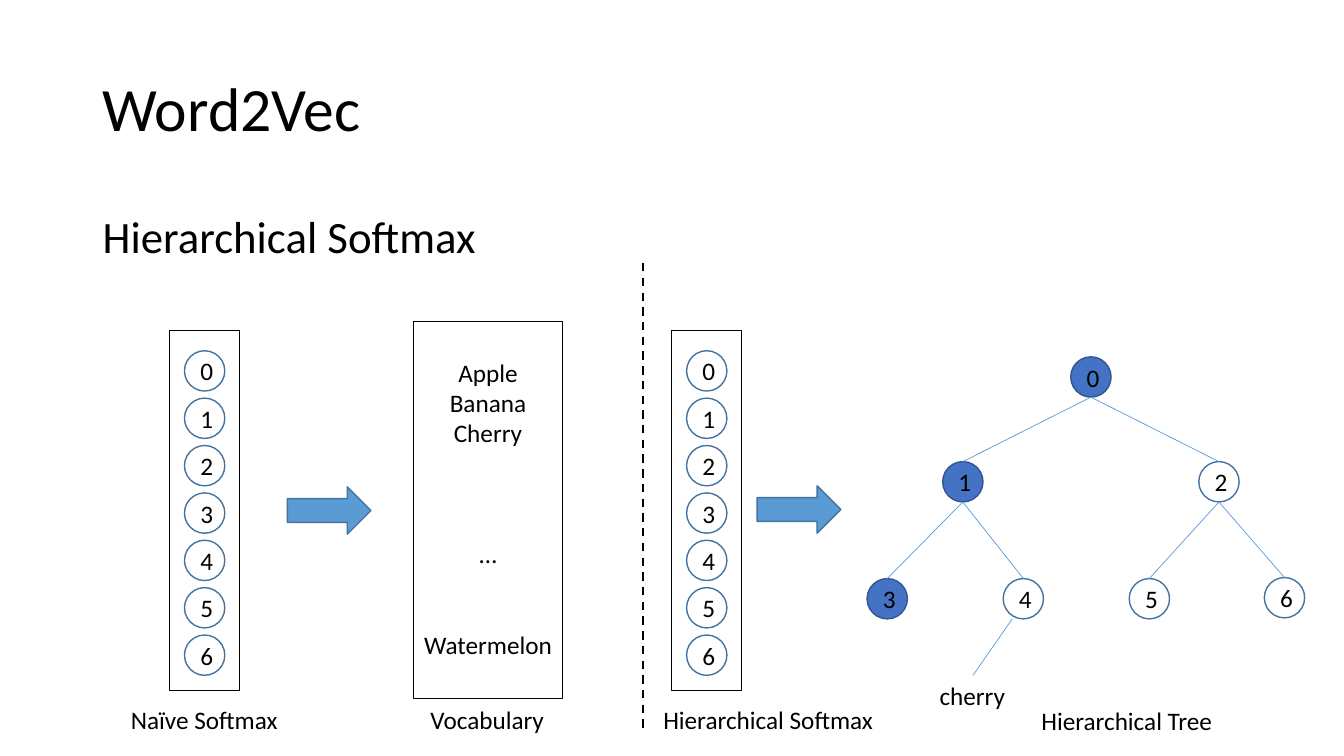
from lxml.etree import SubElement
from pptx import Presentation
from pptx.dml.color import RGBColor
from pptx.enum.dml import MSO_LINE
from pptx.enum.shapes import MSO_CONNECTOR, MSO_SHAPE
from pptx.enum.text import MSO_ANCHOR, PP_ALIGN
from pptx.oxml.ns import qn
from pptx.util import Inches, Pt

BLACK = RGBColor(0x00, 0x00, 0x00)
SKY = RGBColor(0x5B, 0x9B, 0xD5)
SKY_EDGE = RGBColor(0x43, 0x73, 0x9E)
BLUE = RGBColor(0x44, 0x72, 0xC4)
BLUE_EDGE = RGBColor(0x32, 0x54, 0x91)
FONT = "Calibri"

# Content: text, left, top, width, height
TITLE = ("Word2Vec", 0.92, 0.33, 11.5, 1.45)
SUBTITLE = ("Hierarchical Softmax", 0.92, 2.02, 11.5, 4.76)
CAPTIONS = [
    ("Naïve Softmax", 1.2, 6.94, 1.68, 0.4),
    ("Vocabulary", 4.17, 6.94, 1.34, 0.4),
    ("Hierarchical Softmax", 6.48, 6.94, 2.31, 0.4),
    ("Hierarchical Tree", 10.23, 6.95, 1.91, 0.4),
    ("cherry", 9.22, 6.7, 0.86, 0.4),
]
# Word and the space before it in points
VOCABULARY = [("Apple", 0), ("Banana", 0), ("Cherry", 0), ("…", 65), ("Watermelon", 43)]
VOCABULARY_BOX = (4.1, 3.19, 1.48, 3.74)
LAYER_LEFTS = [1.68, 6.66]
LAYER_SIZE = 7
ARROWS = [(2.85, 4.83), (7.51, 4.82)]
# Tree nodes in level order: left, top
TREE = [(10.62, 3.54), (9.35, 4.58), (11.89, 4.58),
        (8.6, 5.74), (9.95, 5.74), (11.2, 5.74), (12.54, 5.73)]
ACTIVE = {0, 1, 3}
NODE = 0.4
NODE_STEP = 0.47

prs = Presentation()
prs.slide_width, prs.slide_height = Inches(13.33), Inches(7.5)
s = prs.slides.add_slide(prs.slide_layouts[6])


def write(tf, text, size=18, align=PP_ALIGN.LEFT, before=0, first=True):
    p = tf.paragraphs[0] if first else tf.add_paragraph()
    p.alignment = align
    if before:
        p.space_before = Pt(before)
    r = p.add_run()
    r.text = text
    r.font.name, r.font.size, r.font.color.rgb = FONT, Pt(size), BLACK


def label(text, *box, size=18, anchor=MSO_ANCHOR.TOP, wrap=False):
    tf = s.shapes.add_textbox(*map(Inches, box)).text_frame
    tf.word_wrap, tf.vertical_anchor = wrap, anchor
    write(tf, text, size=size)


def shape(kind, *box, fill=None, edge=BLACK, weight=0.75):
    sp = s.shapes.add_shape(kind, *map(Inches, box))
    sp.shadow.inherit = False
    if fill is None:
        sp.fill.background()
    else:
        sp.fill.solid()
        sp.fill.fore_color.rgb = fill
    sp.line.color.rgb, sp.line.width = edge, Pt(weight)
    return sp


def node(number, left, top, active=False):
    sp = shape(MSO_SHAPE.OVAL, left, top, NODE, NODE, weight=1,
               fill=BLUE if active else None, edge=BLUE_EDGE if active else SKY_EDGE)
    sp.text_frame.vertical_anchor = MSO_ANCHOR.MIDDLE
    write(sp.text_frame, str(number), align=PP_ALIGN.CENTER)


def line(*ends, color=SKY, weight=0.5):
    cn = s.shapes.add_connector(MSO_CONNECTOR.STRAIGHT, *map(Inches, ends))
    cn.line.color.rgb, cn.line.width = color, Pt(weight)
    SubElement(cn._element.spPr, qn("a:effectLst"))
    return cn


# Headings
label(*TITLE, size=44, anchor=MSO_ANCHOR.MIDDLE, wrap=True)
label(*SUBTITLE, size=32, wrap=True)

# Layers of numbered units, and the arrows leaving them
for left in LAYER_LEFTS:
    shape(MSO_SHAPE.RECTANGLE, left, 3.28, 0.7, 3.57)
    for i in range(LAYER_SIZE):
        node(i, left + 0.15, 3.48 + i * NODE_STEP)
for left, top in ARROWS:
    shape(MSO_SHAPE.RIGHT_ARROW, left, top, 0.83, 0.47, fill=SKY, edge=SKY_EDGE, weight=1)

# Vocabulary
tf = shape(MSO_SHAPE.RECTANGLE, *VOCABULARY_BOX).text_frame
tf.word_wrap, tf.vertical_anchor = False, MSO_ANCHOR.TOP
tf.margin_top = Inches(0.35)
for i, (word, before) in enumerate(VOCABULARY):
    write(tf, word, align=PP_ALIGN.CENTER, before=before, first=i == 0)

# Binary tree: each node hangs from node (i - 1) // 2
for i, (left, top) in enumerate(TREE):
    node(i, left, top, active=i in ACTIVE)
    if i:
        up_left, up_top = TREE[(i - 1) // 2]
        line(up_left + NODE / 2, up_top + NODE, left + NODE / 2, top)
line(10.04, 6.14, 9.65, 6.7)

# Divider and captions
divider = line(6.38, 2.61, 6.38, 7.25, color=BLACK, weight=1.5)
divider.line.dash_style = MSO_LINE.DASH
for caption in CAPTIONS:
    label(*caption)

prs.save("out.pptx")
